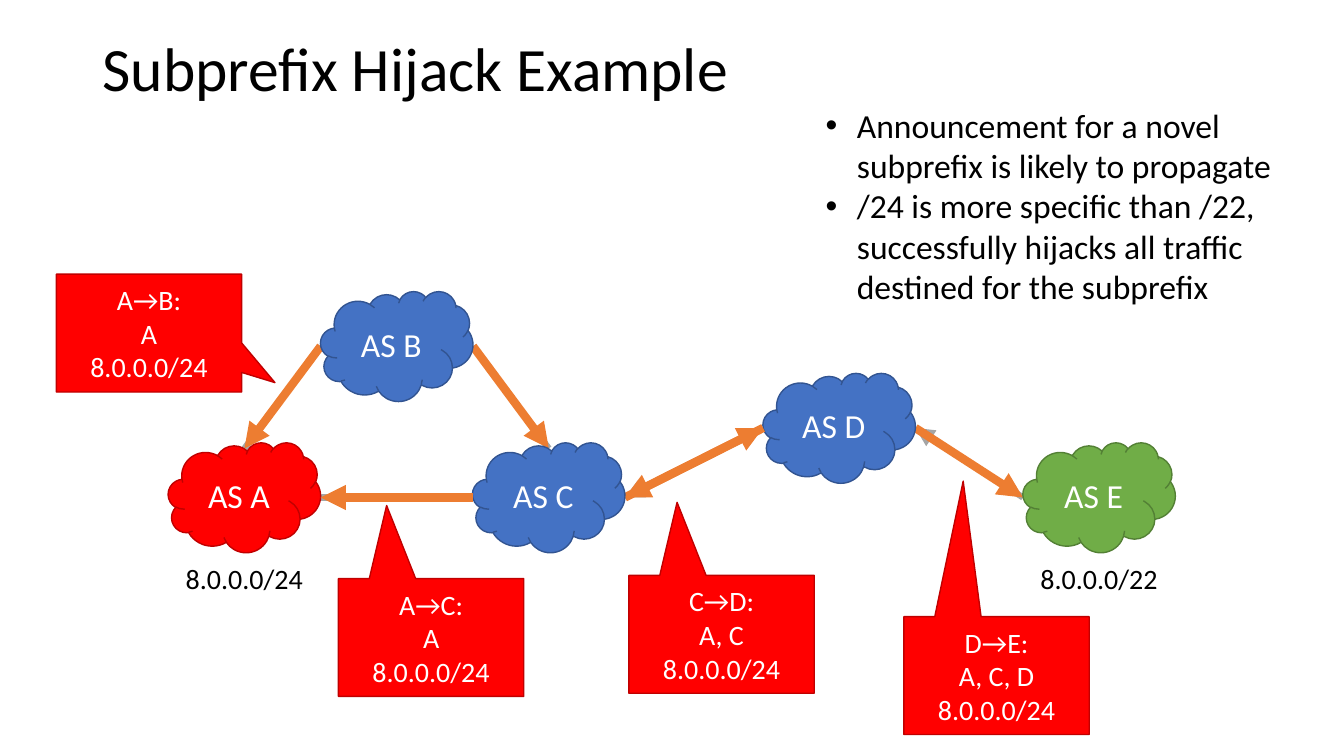
import pptx
import pptx.dml.color
import pptx.enum.shapes
import pptx.enum.text
import pptx.oxml
import pptx.oxml.ns
import pptx.util

Cm = pptx.util.Cm
Pt = pptx.util.Pt
Shapes = pptx.enum.shapes.MSO_SHAPE
Align = pptx.enum.text.PP_ALIGN
Anchor = pptx.enum.text.MSO_ANCHOR

COLORS = {
    "black": "000000", "white": "FFFFFF", "gray": "A5A5A5", "orange": "ED7D31",
    "red": "FF0000", "dark red": "C00000", "blue": "4472C4", "dark blue": "325491",
    "green": "70AD47", "dark green": "538035",
}
CLOUD_WIDTH, CLOUD_HEIGHT = 3.84, 2.77
CALLOUT_WIDTH, CALLOUT_HEIGHT = 4.67, 2.97


class SlideBuilder:
    font = "Calibri"

    def __init__(self, slide):
        self.slide = slide

    def color(self, name):
        return pptx.dml.color.RGBColor.from_string(COLORS[name])

    def place(self, shape, left, top, width, height):
        shape.left, shape.top = Cm(left), Cm(top)
        shape.width, shape.height = Cm(width), Cm(height)

    def set_text(self, shape, text, size, color, align, anchor):
        frame = shape.text_frame
        frame.text = text
        frame.vertical_anchor = anchor
        for paragraph in frame.paragraphs:
            paragraph.alignment = align
            for run in paragraph.runs:
                run.font.name = self.font
                run.font.size = Pt(size)
                run.font.color.rgb = self.color(color)
        return frame

    def title(self, text, *box):
        shape = self.slide.shapes.title
        self.place(shape, *box)
        frame = self.set_text(shape, text, 44, "black", Align.LEFT, Anchor.MIDDLE)
        frame.paragraphs[0].line_spacing = 0.9

    def bullets(self, items, *box):
        shape = self.slide.placeholders[1]
        self.place(shape, *box)
        frame = self.set_text(shape, "\n".join(items), 24, "black", Align.LEFT, Anchor.TOP)
        frame.auto_size = pptx.enum.text.MSO_AUTO_SIZE.NONE
        for paragraph in frame.paragraphs:
            paragraph.space_before = Pt(0)
            properties = paragraph._p.get_or_add_pPr()
            properties.set("marL", str(Cm(0.79)))
            properties.set("indent", str(-Cm(0.79)))

    def label(self, text, *box):
        shape = self.slide.shapes.add_textbox(*map(Cm, box))
        frame = self.set_text(shape, text, 20, "black", Align.CENTER, Anchor.TOP)
        frame.word_wrap = False

    def shape(self, kind, text, size, fill, *box):
        shape = self.slide.shapes.add_shape(kind, *map(Cm, box))
        shape.shadow.inherit = False
        shape.fill.solid()
        shape.fill.fore_color.rgb = self.color(fill)
        shape.line.color.rgb = self.color("dark " + fill)
        shape.line.width = Pt(1)
        self.set_text(shape, text, size, "white", Align.CENTER, Anchor.MIDDLE)
        return shape

    def cloud(self, text, fill, left, top):
        self.shape(Shapes.CLOUD, text, 24, fill, left, top, CLOUD_WIDTH, CLOUD_HEIGHT)

    def callout(self, text, left, top, tip):
        shape = self.shape(Shapes.RECTANGULAR_CALLOUT, text, 20, "red",
                           left, top, CALLOUT_WIDTH, CALLOUT_HEIGHT)
        shape.adjustments[0], shape.adjustments[1] = tip

    def link(self, start, end, color, width, arrow=None):
        connector = self.slide.shapes.add_connector(
            pptx.enum.shapes.MSO_CONNECTOR.STRAIGHT, *map(Cm, start + end))
        connector.line.color.rgb = self.color(color)
        connector.line.width = Pt(width)
        namespace = pptx.oxml.ns.nsdecls("a")
        if arrow:
            connector.line._get_or_add_ln().append(
                pptx.oxml.parse_xml(f'<a:{arrow} {namespace} type="triangle"/>'))
        connector._element.spPr.append(
            pptx.oxml.parse_xml(f'<a:effectLst {namespace}/>'))


NETWORKS = {
    "E": ("green", 25.78, 11.15),
    "B": ("blue", 8.08, 7.34),
    "C": ("blue", 11.91, 11.15),
    "A": ("red", 4.24, 11.15),
    "D": ("blue", 19.23, 9.4),
}


def port(network, side):
    fill, left, top = NETWORKS[network]
    return {
        "left": (left, top + CLOUD_HEIGHT / 2),
        "right": (left + CLOUD_WIDTH, top + CLOUD_HEIGHT / 2),
        "top": (left + CLOUD_WIDTH / 2, top + 0.15),
    }[side]


A_TOP, A_RIGHT = port("A", "top"), port("A", "right")
B_LEFT, B_RIGHT = port("B", "left"), port("B", "right")
C_LEFT, C_TOP, C_RIGHT = port("C", "left"), port("C", "top"), port("C", "right")
D_LEFT, D_RIGHT = port("D", "left"), port("D", "right")
E_LEFT = port("E", "left")

PEERINGS = [
    (A_RIGHT, C_LEFT, None),
    (A_TOP, B_LEFT, None),
    (C_TOP, B_RIGHT, None),
    (C_RIGHT, D_LEFT, "headEnd"),
    (D_RIGHT, E_LEFT, "headEnd"),
]
ANNOUNCEMENTS = [(B_RIGHT, C_TOP), (C_RIGHT, D_LEFT), (D_RIGHT, E_LEFT), (B_LEFT, A_TOP)]
RETURN_ROUTES = [(C_LEFT, A_RIGHT), (D_LEFT, C_RIGHT)]
CALLOUTS = [
    ("A→B:", "A", 1.42, 6.91, (0.68, 0.42)),
    ("A→C:", "A", 8.53, 14.58, (-0.24, -1.12)),
    ("C→D:", "A, C", 15.85, 14.5, (-0.24, -1.12)),
    ("D→E:", "A, C, D", 22.78, 15.54, (-0.18, -1.65)),
]

presentation = pptx.Presentation()
presentation.slide_width, presentation.slide_height = Cm(33.87), Cm(19.05)
builder = SlideBuilder(presentation.slides.add_slide(presentation.slide_layouts[1]))

builder.title("Subprefix Hijack Example", 2.33, -0.03, 29.21, 3.68)
builder.bullets([
    "Announcement for a novel subprefix is likely to propagate",
    "/24 is more specific than /22, successfully hijacks all traffic "
    "destined for the subprefix",
], 20.55, 2.51, 12.65, 5.38)

for start, end, arrow in PEERINGS:
    builder.link(start, end, "gray", 4.5, arrow)
for start, end in ANNOUNCEMENTS:
    builder.link(start, end, "orange", 6, "tailEnd")
for name, (fill, left, top) in NETWORKS.items():
    builder.cloud("AS " + name, fill, left, top)
for prefix, left in [("8.0.0.0/24", 4.42), ("8.0.0.0/22", 25.96)]:
    builder.label(prefix, left, 14.02, 3.48, 1.12)
for route, hops, left, top, tip in CALLOUTS:
    builder.callout("\n".join([route, hops, "8.0.0.0/24"]), left, top, tip)
for start, end in RETURN_ROUTES:
    builder.link(start, end, "orange", 6, "tailEnd")

presentation.save("out.pptx")
